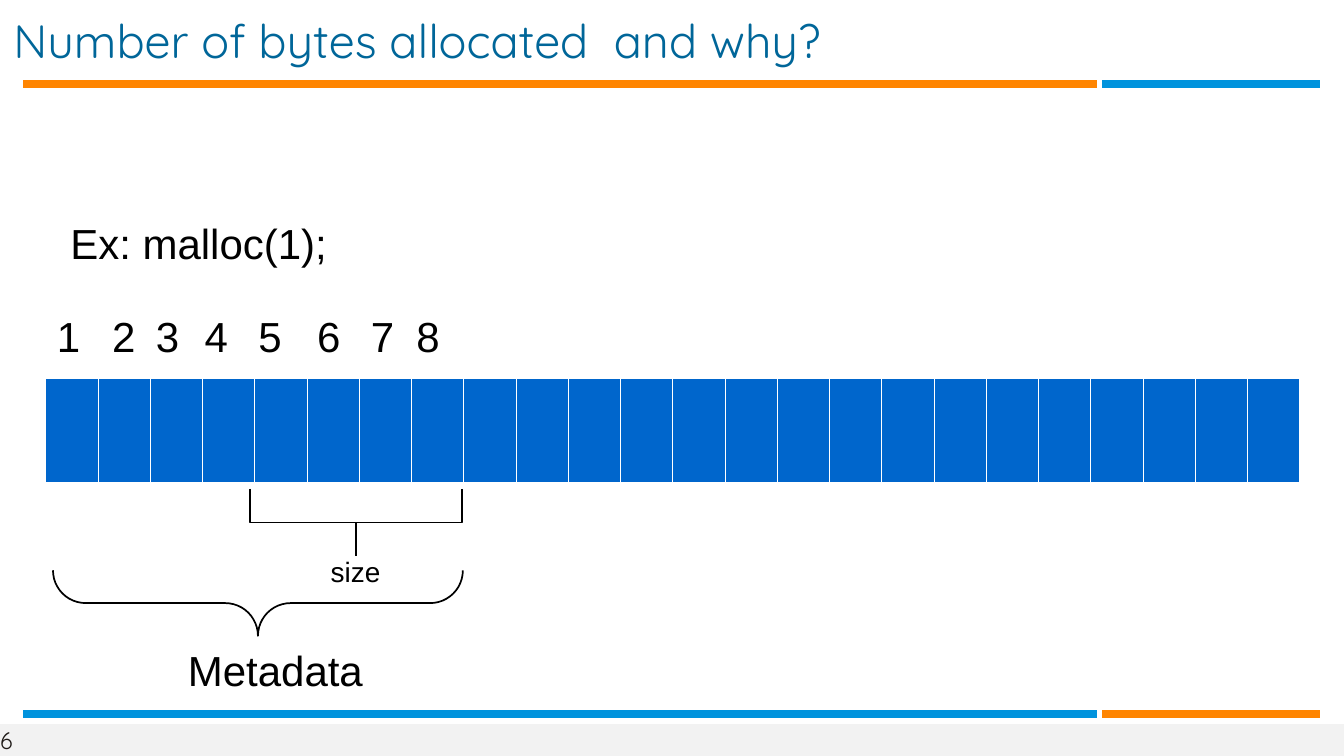
from lxml import etree
from pptx import Presentation, util as u
from pptx.dml.color import RGBColor
from pptx.enum import shapes, text
from pptx.oxml import ns

ORANGE = RGBColor(0xFF, 0x85, 0x00)
SKY = RGBColor(0x00, 0x93, 0xDD)
CELL_BLUE = RGBColor(0x00, 0x66, 0xCC)
TITLE_BLUE = RGBColor(0x00, 0x66, 0x99)
FOOTER_GRAY = RGBColor(0xF2, 0xF2, 0xF2)
FOOTER_TEXT = RGBColor(0x1F, 0x1A, 0x17)
BLACK = RGBColor(0x00, 0x00, 0x00)

presentation = Presentation()
presentation.slide_width = u.Inches(8)
presentation.slide_height = u.Inches(4.5)
UNIT = presentation.slide_width / 80
slide = presentation.slides.add_slide(presentation.slide_layouts[6])


def grid(*units):
    return [round(value * UNIT) for value in units]


def add_text(words, box, size, font="Arial", color=BLACK, margins=(1, 0.6, 1, 0.5),
             anchor=text.MSO_ANCHOR.TOP, spacing=0.94):
    frame = slide.shapes.add_textbox(*grid(*box)).text_frame
    frame.word_wrap = True
    frame.vertical_anchor = anchor
    (frame.margin_left, frame.margin_top,
     frame.margin_right, frame.margin_bottom) = grid(*margins)
    frame.text = words
    paragraph = frame.paragraphs[0]
    paragraph.line_spacing = spacing
    run = paragraph.runs[0]
    run.font.size = u.Pt(size)
    run.font.name = font
    run.font.color.rgb = color


footer = slide.shapes.add_shape(shapes.MSO_SHAPE.RECTANGLE, *grid(0, 43.1, 80, 1.9))
footer.shadow.inherit = False
footer.fill.solid()
footer.fill.fore_color.rgb = FOOTER_GRAY
footer.line.fill.background()
add_text("6", (0, 43.1, 6.8, 1.9), 10, "Quicksand", FOOTER_TEXT, (0, 0, 0, 0),
         text.MSO_ANCHOR.MIDDLE, 1.0)

for row, long_color, short_color in ((5, ORANGE, SKY), (42.5, SKY, ORANGE)):
    for start, end, color in ((1.4, 65.3, long_color), (65.6, 78.6, short_color)):
        rule = slide.shapes.add_connector(shapes.MSO_CONNECTOR.STRAIGHT,
                                          *grid(start, row, end, row))
        rule.line.color.rgb = color
        rule.line.width = u.Pt(3)
        etree.SubElement(rule._element.spPr, ns.qn("a:effectLst"))

add_text("Number of bytes allocated  and why?", (0.8, 0.7, 71.7, 3.5), 20, "Quicksand",
         TITLE_BLUE, (0, 0.1, 0, 0), text.MSO_ANCHOR.MIDDLE, 0.97)

BYTES = 24
table = slide.shapes.add_table(1, BYTES, *grid(2.7, 22.5, 74.7, 6.2)).table
table.first_row = False
table.horz_banding = False
for column in table.columns:
    column.width = grid(74.7 / BYTES)[0]
for cell in table.iter_cells():
    properties = cell._tc.get_or_add_tcPr()
    for side in ("lnL", "lnR", "lnT", "lnB"):
        border = etree.SubElement(properties, ns.qn(f"a:{side}"), w="762")
        fill = etree.SubElement(border, ns.qn("a:solidFill"))
        etree.SubElement(fill, ns.qn("a:srgbClr"), val="FFFFFF")
    cell.fill.solid()
    cell.fill.fore_color.rgb = CELL_BLUE

for number, left in enumerate((2.4, 5.7, 8.3, 11.2, 14.4, 17.9, 21.1, 23.8), start=1):
    add_text(str(number), (left, 18.1, 3.4, 3.8), 18)

add_text("Ex: malloc(1);", (3.2, 12.6, 18.5, 3.8), 18)
add_text("size", (18.7, 32.6, 5.8, 2.9), 12)
add_text("Metadata", (10.2, 38, 13.5, 3.8), 18)

metadata_brace = slide.shapes.add_shape(shapes.MSO_SHAPE.RIGHT_BRACE,
                                        *grid(13.4, 23.7, 3.9, 24.4))
metadata_brace.rotation = 90
metadata_brace.adjustments[0] = 0.5

left, center, right = grid(14.9, 21.2, 27.5)
top, middle, bottom = grid(29.1, 31.1, 33.1)
builder = slide.shapes.build_freeform(left, top)
builder.add_line_segments([(left, middle), (right, middle), (right, top)], close=False)
builder.move_to(center, middle)
builder.add_line_segments([(center, bottom)], close=False)
size_bracket = builder.convert_to_shape()

for shape in (metadata_brace, size_bracket):
    shape.shadow.inherit = False
    shape.fill.background()
    shape.line.color.rgb = BLACK
    shape.line.width = u.Pt(0.75)

presentation.save("out.pptx")
